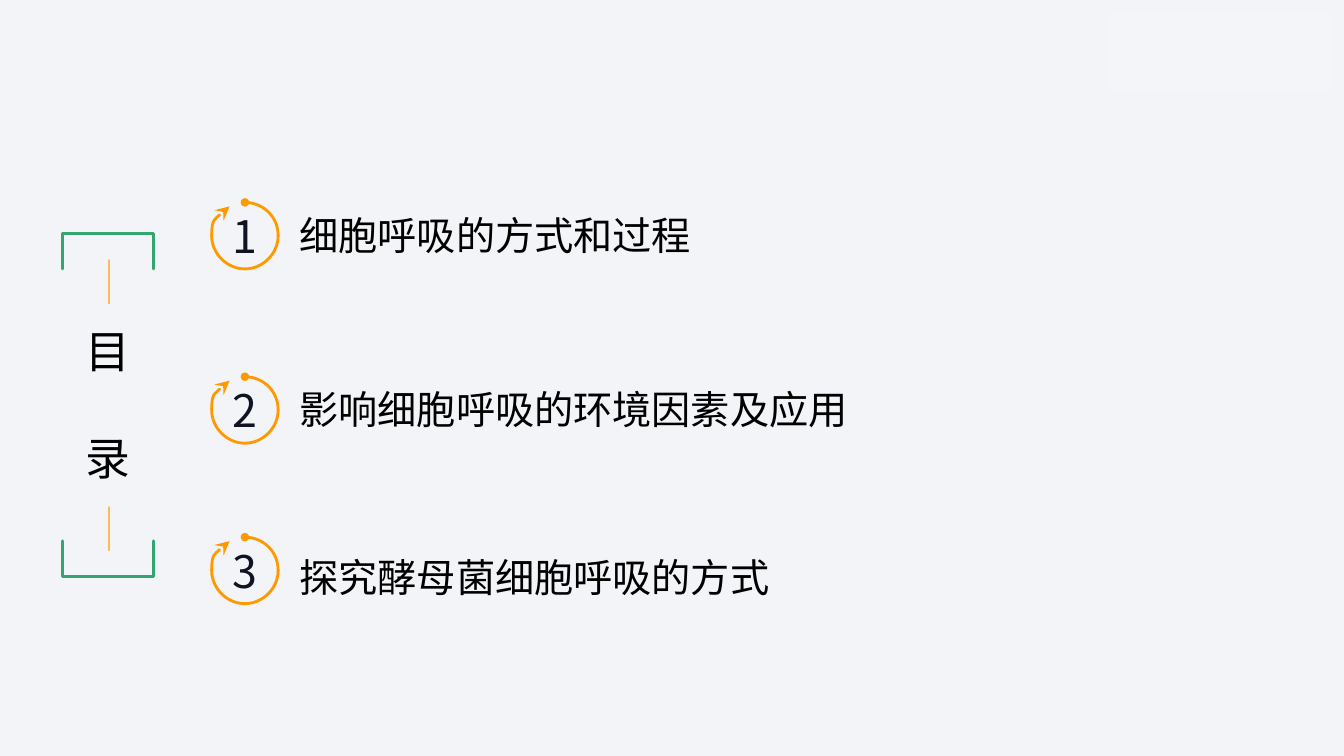
from lxml import etree
from pptx import Presentation, util as u
from pptx.dml.color import RGBColor
from pptx.enum import shapes, text
from pptx.oxml import ns

CELL = u.Emu(76200)
COLUMNS, ROWS = 160, 90
PAPER = RGBColor(0xF2, 0xF4, 0xF8)
PANEL = RGBColor(0xF3, 0xF5, 0xF8)
GREEN = RGBColor(0x34, 0xA4, 0x71)
AMBER = RGBColor(0xFF, 0xBA, 0x55)
ORANGE = RGBColor(0xFF, 0x99, 0x00)
INK = RGBColor(0x0F, 0x14, 0x23)
BLACK = RGBColor(0, 0, 0)
CJK = "Noto Sans CJK SC"

RING_LEFT, RING_SIZE = 25.2, 7.92
RING_START = (0.5, 0)
RING_CURVES = [
    [(0.77, 0), (1, 0.23), (1, 0.5)],
    [(1, 0.77), (0.77, 1), (0.5, 1)],
    [(0.23, 1), (0, 0.77), (0, 0.5)],
    [(0, 0.23), (0.23, 0.08), (0.27, 0.06)],
]
TOPICS = [
    ("细胞呼吸的方式和过程", 24.1, 23.5, 59.5),
    ("影响细胞呼吸的环境因素及应用", 44.85, 44.2, 73.9),
    ("探究酵母菌细胞呼吸的方式", 63.95, 64.2, 79.3),
]


def cells(*counts):
    """Turn grid counts into lengths."""
    return [u.Emu(round(count * CELL)) for count in counts]


def apply(target, formats):
    """Set every attribute named in a dict of format values."""
    for name, value in formats.items():
        setattr(target, name, value)


def write(para, words, size, color, font=CJK):
    """Add one formatted span to a paragraph."""
    span = para.add_run()
    span.text = words
    apply(span.font, {"size": u.Pt(size), "name": font})
    span.font.color.rgb = color
    etree.SubElement(span.font._element, ns.qn("a:ea"), typeface=CJK)


def stroke(line, color, width):
    """Give a line its colour, width and round ends, and return its element."""
    line.color.rgb = color
    line.width = u.Pt(width)
    element = line._get_or_add_ln()
    element.set("cap", "rnd")
    etree.SubElement(element, ns.qn("a:round"))
    return element


def add_outline(page, points):
    """Add an open unfilled path through grid points."""
    corners = [cells(*point) for point in points]
    builder = page.shapes.build_freeform(*corners[0])
    builder.add_line_segments(corners[1:], close=False)
    outline = builder.convert_to_shape()
    outline.shadow.inherit = False
    outline.fill.background()
    return outline


def add_tick(page, top, bottom):
    """Draw a vertical amber line on the axis of the heading."""
    tick = page.shapes.add_connector(
        shapes.MSO_CONNECTOR.STRAIGHT, *cells(13, top, 13, bottom))
    stroke(tick.line, AMBER, 1.75)
    etree.SubElement(tick._element.spPr, ns.qn("a:effectLst"))


def add_box(page, area, wrap):
    """Add a text box on the grid and return its text frame."""
    frame = page.shapes.add_textbox(*cells(*area)).text_frame
    frame.word_wrap = wrap
    return frame


def add_heading(page):
    """Draw the bracketed vertical heading."""
    for tip, edge in ((32, 27.78), (64.4, 68.62)):
        bracket = add_outline(
            page, [(7.45, tip), (7.45, edge), (18.27, edge), (18.27, tip)])
        stroke(bracket.line, GREEN, 2.25)
    for top in (31, 60.4):
        add_tick(page, top, top + 5.1)
    frame = add_box(page, (9, 37.9, 7.7, 20.6), False)
    for index, sign in enumerate("目录"):
        para = frame.add_paragraph() if index else frame.paragraphs[0]
        apply(para, {"line_spacing": u.Pt(38.5),
                     "space_before": u.Pt(38.5 * index)})
        write(para, sign, 32, BLACK, "Arial")


def bend(outline, curves):
    """Turn the straight segments of an outline into cubic curves."""
    segments = list(outline._element.iter(ns.qn("a:lnTo")))
    for segment, curve in zip(segments, curves):
        segment.tag = ns.qn("a:cubicBezTo")
        segment.clear()
        for point in curve:
            x, y = cells(*(share * RING_SIZE for share in point))
            etree.SubElement(segment, ns.qn("a:pt"), x=str(int(x)), y=str(int(y)))


def bend_segments(outline, curves):
    """Replace the straight segments of an outline by cubic curves."""
    for segment, curve in zip(list(outline._element.iter(ns.qn("a:lnTo"))), curves):
        arc = etree.Element(ns.qn("a:cubicBezTo"))
        for point in curve:
            x, y = cells(*(share * RING_SIZE for share in point))
            etree.SubElement(arc, ns.qn("a:pt"), x=str(int(x)), y=str(int(y)))
        segment.getparent().replace(segment, arc)


def add_ring(page, number, top):
    """Draw a circling arrow around a number."""
    anchors = [RING_START] + [curve[-1] for curve in RING_CURVES]
    ring = add_outline(page, [(RING_LEFT + x * RING_SIZE, top + y * RING_SIZE)
                              for x, y in anchors])
    bend_segments(ring, RING_CURVES)
    line = stroke(ring.line, ORANGE, 2)
    for tag, kind, size in (("a:headEnd", "oval", "med"),
                            ("a:tailEnd", "stealth", "lg")):
        etree.SubElement(line, ns.qn(tag), type=kind, w=size, len=size)
    ring.text_frame.vertical_anchor = text.MSO_ANCHOR.MIDDLE
    para = ring.text_frame.paragraphs[0]
    para.alignment = text.PP_ALIGN.CENTER
    write(para, str(number), 32, INK)


def add_topic(page, words, top, width):
    """Write one line of the contents."""
    para = add_box(page, (34.48, top, width, RING_SIZE), True).paragraphs[0]
    para.line_spacing = 1.2
    write(para, words, 28, BLACK)


def add_panel(page):
    """Draw the pale panel in the upper right corner."""
    panel = page.shapes.add_shape(
        shapes.MSO_SHAPE.RECTANGLE, *cells(131.9, 1.3, 26.9, 9.7))
    panel.shadow.inherit = False
    panel.fill.solid()
    panel.fill.fore_color.rgb = PANEL
    panel.line.fill.background()


def main():
    """Build the contents slide."""
    deck = Presentation()
    deck.slide_width, deck.slide_height = cells(COLUMNS, ROWS)
    page = deck.slides.add_slide(deck.slide_layouts[6])
    page.background.fill.solid()
    page.background.fill.fore_color.rgb = PAPER
    add_heading(page)
    for number, (words, ring_top, words_top, width) in enumerate(TOPICS, 1):
        add_ring(page, number, ring_top)
        add_topic(page, words, words_top, width)
    add_panel(page)
    deck.save("out.pptx")


if __name__ == "__main__":
    main()
